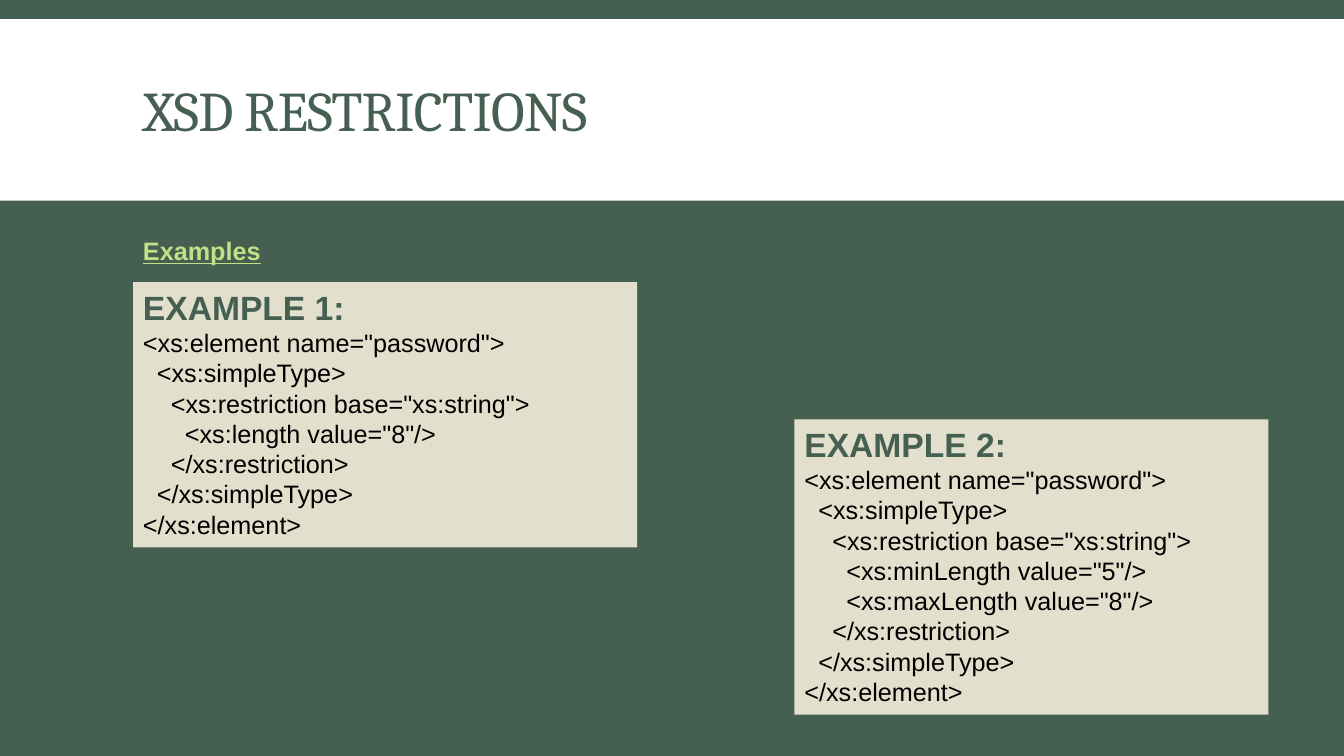
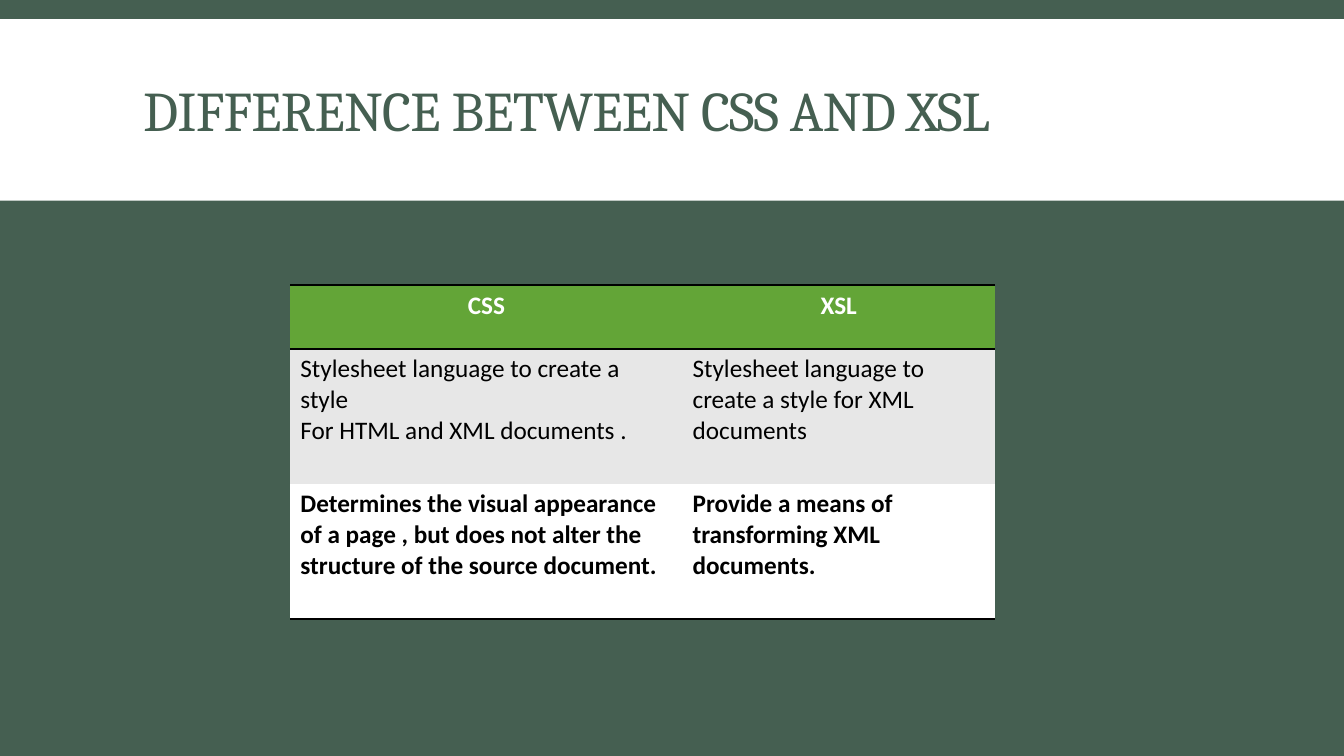
"""Build two slides on XSD restrictions and on CSS versus XSL."""
from lxml.etree import SubElement
from pptx import Presentation
from pptx.dml.color import RGBColor
from pptx.enum.shapes import MSO_SHAPE
from pptx.enum.text import MSO_ANCHOR, PP_ALIGN
from pptx.oxml.ns import qn
from pptx.util import Emu, Inches, Pt

COLORS = {
    "green": "455F51", "white": "FFFFFF", "lime": "C2E088", "sand": "E2DFCC",
    "black": "000000", "header": "63A537", "gray": "E7E7E7",
}
WIDTH, HEIGHT = 13.33, 7.5
MARGIN = 1.32
BAND = (0, 0.19, WIDTH, 1.8)
TITLE_BOX = (MARGIN, 0.31, 10.7, 1.65)

RESTRICTIONS_TITLE = "XSD RESTRICTIONS"
SUBTITLE = "Examples"
EXAMPLES = [
    ("EXAMPLE 1:", (MARGIN, 2.8, 5, 2.63), ['<xs:length value="8"/>']),
    ("EXAMPLE 2:", (7.88, 4.16, 4.7, 2.93),
     ['<xs:minLength value="5"/>', '<xs:maxLength value="8"/>']),
]
WRAPPERS = [
    ('<xs:element name="password">', "</xs:element>"),
    ("<xs:simpleType>", "</xs:simpleType>"),
    ('<xs:restriction base="xs:string">', "</xs:restriction>"),
]

COMPARISON_TITLE = "DIFFERENCE BETWEEN CSS AND XSL"
COMPARISON = [
    (["CSS"], ["XSL"]),
    (["Stylesheet language to create a style", "For HTML and XML documents ."],
     ["Stylesheet language to create a style for XML documents"]),
    (["Determines the visual appearance of a page , but does not alter "
      "the structure of the source document."],
     ["Provide a means of transforming XML documents."]),
]
ROW_STYLES = [
    {"fill": "header", "color": "white", "bold": True, "align": PP_ALIGN.CENTER},
    {"fill": "gray", "color": "black", "bold": False, "align": PP_ALIGN.LEFT},
    {"fill": "white", "color": "black", "bold": True, "align": PP_ALIGN.LEFT},
]
COLUMN_WIDTHS = [3.89, 3.1]
ROW_HEIGHTS = [0.63, 1.34, 1.34]
RULED_EDGES = [True, True, False, True]


def rgb(name):
    return RGBColor.from_string(COLORS[name])


def inches(box):
    return [Inches(length) for length in box]


def write(frame, text, font="Arial", size=18, color="black", bold=False,
          underline=False, align=PP_ALIGN.LEFT, first=True, line_spacing=None,
          tracking=None):
    paragraph = frame.paragraphs[0] if first else frame.add_paragraph()
    paragraph.text = text
    paragraph.alignment = align
    if line_spacing:
        paragraph.line_spacing = line_spacing
    for run in paragraph.runs:
        run.font.name = font
        run.font.size = Pt(size)
        run.font.bold = bold
        run.font.underline = underline
        run.font.color.rgb = rgb(color)
        if tracking:
            run.font._element.set("spc", str(tracking))


def add_panel(slide, box, color):
    panel = slide.shapes.add_shape(MSO_SHAPE.RECTANGLE, *inches(box))
    panel.shadow.inherit = False
    panel.fill.solid()
    panel.fill.fore_color.rgb = rgb(color)
    panel.line.fill.background()
    return panel


def add_titled_slide(presentation, layout, title):
    slide = presentation.slides.add_slide(layout)
    shape = slide.shapes.title
    shape.left, shape.top, shape.width, shape.height = inches(TITLE_BOX)
    shape.text_frame.vertical_anchor = MSO_ANCHOR.MIDDLE
    write(shape.text_frame, title, font="Cambria", size=40, color="green",
          line_spacing=0.85, tracking=-50)
    return slide


def nested_code(facets):
    depth = len(WRAPPERS)
    lines = [("  " * level + opening) for level, (opening, _) in enumerate(WRAPPERS)]
    lines += ["  " * depth + facet for facet in facets]
    lines += ["  " * level + WRAPPERS[level][1] for level in reversed(range(depth))]
    return "\n".join(lines)


def add_example(slide, heading, box, facets):
    frame = add_panel(slide, box, "sand").text_frame
    frame.word_wrap = True
    frame.vertical_anchor = MSO_ANCHOR.TOP
    write(frame, heading, size=24, color="green", bold=True)
    write(frame, nested_code(facets), first=False)


def set_borders(cell, top, bottom):
    properties = cell._tc.get_or_add_tcPr()
    edges = [("a:lnL", False), ("a:lnR", False), ("a:lnT", top), ("a:lnB", bottom)]
    for position, (tag, ruled) in enumerate(edges):
        line = SubElement(properties, qn(tag), w=str(Pt(2) if ruled else 0))
        if ruled:
            fill = SubElement(line, qn("a:solidFill"))
            SubElement(fill, qn("a:srgbClr"), val=COLORS["black"])
        else:
            SubElement(line, qn("a:noFill"))
        properties.insert(position, line)


def add_comparison(slide):
    box = (2.88, 2.83, sum(COLUMN_WIDTHS), sum(ROW_HEIGHTS))
    table = slide.shapes.add_table(
        len(ROW_HEIGHTS), len(COLUMN_WIDTHS), *inches(box)).table
    for column, width in zip(table.columns, COLUMN_WIDTHS):
        column.width = Inches(width)
    for row_index, (texts, style) in enumerate(zip(COMPARISON, ROW_STYLES)):
        table.rows[row_index].height = Inches(ROW_HEIGHTS[row_index])
        text_style = {key: value for key, value in style.items() if key != "fill"}
        for column_index, lines in enumerate(texts):
            cell = table.cell(row_index, column_index)
            cell.fill.solid()
            cell.fill.fore_color.rgb = rgb(style["fill"])
            set_borders(cell, *RULED_EDGES[row_index:row_index + 2])
            for line_index, line in enumerate(lines):
                write(cell.text_frame, line, font="Calibri",
                      first=line_index == 0, **text_style)


def main():
    presentation = Presentation()
    presentation.slide_width, presentation.slide_height = inches((WIDTH, HEIGHT))
    background = presentation.slide_master.background.fill
    background.solid()
    background.fore_color.rgb = rgb("green")
    layout = presentation.slide_layouts.get_by_name("Title Only")

    slide = add_titled_slide(presentation, layout, RESTRICTIONS_TITLE)
    band = add_panel(slide, BAND, "white")
    layout.shapes.element.insert(2, band.element)
    label = slide.shapes.add_textbox(*inches((MARGIN, 2.29, 2.87, 0.4)))
    label.text_frame.word_wrap = True
    write(label.text_frame, SUBTITLE, color="lime", bold=True, underline=True)
    for example in EXAMPLES:
        add_example(slide, *example)

    slide = add_titled_slide(presentation, layout, COMPARISON_TITLE)
    add_comparison(slide)
    presentation.save("out.pptx")


if __name__ == "__main__":
    main()
